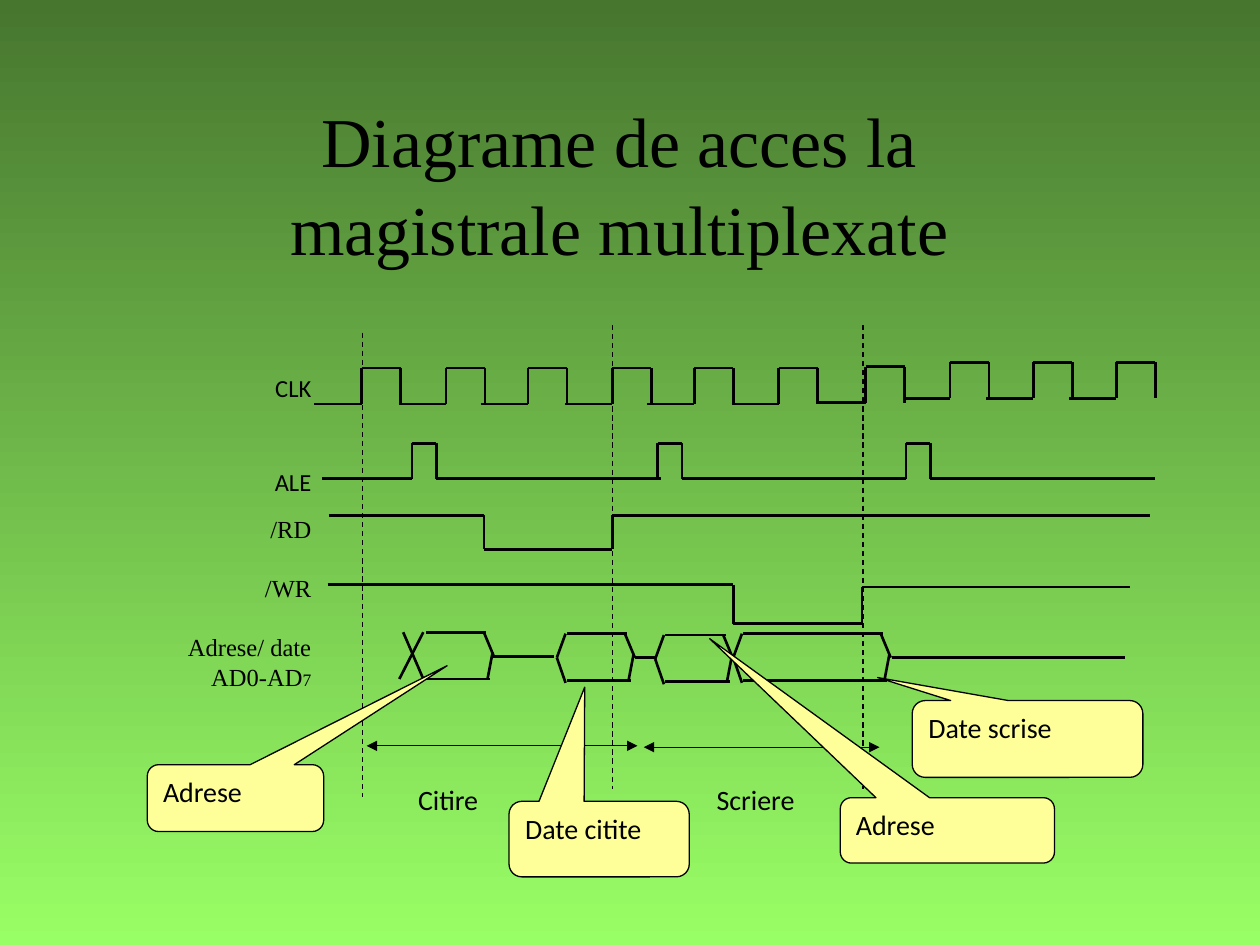
"""Build a slide with the timing diagram of a multiplexed bus."""
from dataclasses import dataclass

import lxml.etree
import pptx
import pptx.dml.color
import pptx.enum.dml
import pptx.enum.shapes
import pptx.enum.text
import pptx.oxml.ns
import pptx.util

Pt = pptx.util.Pt
Align = pptx.enum.text.PP_ALIGN
qn = pptx.oxml.ns.qn
COLOURS = {"ink": "000000", "callout": "FFFF99", "top": "47762F", "bottom": "99FF66"}
SERIF, SANS = "Times New Roman", "Calibri"


@dataclass(frozen=True)
class Box:
    left: float
    top: float
    width: float
    height: float


@dataclass(frozen=True)
class Label:
    runs: tuple[tuple[str, float], ...]
    font: str
    space_after: float = 0


@dataclass(frozen=True)
class Callout:
    text: str
    box: Box
    tip: tuple[float, float]


@dataclass(frozen=True)
class ClockGroup:
    rises: tuple[float, ...]
    high: float


@dataclass(frozen=True)
class BusCell:
    left: float
    middle: float
    width: float = 44.6
    crossed: bool = False


CLOCK_GROUPS = (
    ClockGroup((206.6, 254.9, 301.7, 349.9, 396.7, 445), 210.2),
    ClockGroup((494.6,), 209.5),
    ClockGroup((542.9, 590.4, 637.9), 207.1),
)
ALE_RISES = (235.4, 375.8, 517.7)
READ_WAVE = ((187.9, 294.5), (276.5, 294.5), (276.5, 313.9), (349.9, 313.9),
             (349.9, 294.5), (657.4, 294.5))
WRITE_WAVE = ((187.2, 334.1), (419, 334.1), (419, 356.4), (492.5, 356.4),
              (492.5, 335.5), (645.8, 335.5))
BUS_CELLS = (
    BusCell(237.6, 375, crossed=True),
    BusCell(318.2, 375.8),
    BusCell(374.4, 376.6),
    BusCell(419, 375.8, 90),
)
BUS_IDLES = ((280.8, 316.8, 375.1), (362.9, 374.4, 375.8), (509.8, 643, 375.8))
CYCLE_LIMITS = ((207.1, 190.1), (349.9, 185.8), (493.2, 185.8))
CYCLE_SPANS = ((209.5, 364.3, 426.2), (367.9, 502.6, 427))
SIGNAL_LABELS = (
    Label((("CLK", 14),), SANS, 37),
    Label((("ALE", 14),), SANS, 10),
    Label((("/RD", 14),), SERIF, 17),
    Label((("/WR", 14),), SERIF, 17),
    Label((("Adrese/ date AD0-AD", 14), ("7", 10)), SERIF),
)
CALLOUTS = (
    Callout("Date scrise", Box(521.3, 400.3, 131.8, 43.9), (-0.65, -0.8)),
    Callout("Date citite", Box(290.9, 457.9, 103, 43.2), (-0.08, -2.01)),
    Callout("Adrese", Box(480.2, 455.8, 122.4, 37.4), (-1.11, -2.93)),
    Callout("Adrese", Box(84.2, 437, 100.8, 38.2), (1.2, -1.98)),
)


def colour(name: str) -> pptx.dml.color.RGBColor:
    """Return a named colour."""
    return pptx.dml.color.RGBColor.from_string(COLOURS[name])


def draw_line(slide, start, end, weight: float = 1.5):
    """Draw a straight line between two points."""
    connector = slide.shapes.add_connector(
        pptx.enum.shapes.MSO_CONNECTOR.STRAIGHT, *map(Pt, (*start, *end)))
    connector.line.color.rgb = colour("ink")
    connector.line.width = Pt(weight)
    lxml.etree.SubElement(connector._element.spPr, qn("a:effectLst"))
    return connector


def draw_wave(slide, points) -> None:
    """Draw a line through successive points."""
    for start, end in zip(points, points[1:]):
        draw_line(slide, start, end)


def draw_clock_pulse(slide, rise: float, high: float) -> None:
    """Draw one clock pulse with the low level before it."""
    low = high + 20.6
    draw_wave(slide, ((rise - 26.9, low), (rise, low), (rise, high),
                      (rise + 22.3, high), (rise + 22.3, low)))


def draw_ale_pulse(slide, rise: float) -> None:
    """Draw one ALE pulse with the low level after it."""
    high, low, fall = 253.4, 273.6, rise + 14
    draw_wave(slide, ((rise, low), (rise, high), (fall, high),
                      (fall, low), (rise + 142.2, low)))


def draw_bus_cell(slide, cell: BusCell) -> None:
    """Draw one period of valid data on the bus."""
    left, middle, right = cell.left, cell.middle, cell.left + cell.width
    high, low = middle - 13.7, middle + 13
    if cell.crossed:
        draw_line(slide, (left - 7.2, high), (left + 4.3, low))
        draw_line(slide, (left + 4.3, high), (left - 9.4, low))
    else:
        draw_wave(slide, ((left + 5, high), (left, middle), (left + 5, low + 1.4)))
    draw_line(slide, (left + 5.8, high), (right - 4.3, high))
    draw_line(slide, (left + 5.8, low), (right - 2.1, low))
    draw_line(slide, (right - 5.7, high), (right, middle))
    draw_line(slide, (right - 3.6, low), (right - 0.7, middle - 2.2))


def draw_span(slide, left: float, right: float, height: float) -> None:
    """Draw a line with an arrowhead at both ends."""
    line = draw_line(slide, (left, height), (right, height), 0.75)
    outline = line.line._get_or_add_ln()
    for end in ("a:headEnd", "a:tailEnd"):
        lxml.etree.SubElement(outline, qn(end), type="triangle")


def write_label(paragraph, label: Label, alignment) -> None:
    """Write a label into a paragraph, run by run."""
    paragraph.alignment = alignment
    paragraph.space_after = Pt(label.space_after)
    for text, size in label.runs:
        run = paragraph.add_run()
        run.text = text
        run.font.name = label.font
        run.font.size = Pt(size)
        run.font.color.rgb = colour("ink")


def add_text(slide, box: Box, labels, alignment=Align.LEFT):
    """Add a text box with one paragraph per label and return its frame."""
    shape = slide.shapes.add_textbox(*map(Pt, (box.left, box.top, box.width, box.height)))
    frame = shape.text_frame
    frame.word_wrap = True
    for index, label in enumerate(labels):
        paragraph = frame.add_paragraph() if index else frame.paragraphs[0]
        write_label(paragraph, label, alignment)
    return frame


def add_callout(slide, callout: Callout) -> None:
    """Add a rounded callout pointing at the bus."""
    box = callout.box
    shape = slide.shapes.add_shape(
        pptx.enum.shapes.MSO_SHAPE.ROUNDED_RECTANGULAR_CALLOUT,
        *map(Pt, (box.left, box.top, box.width, box.height)))
    shape.shadow.inherit = False
    for index, value in enumerate((*callout.tip, 0.17)):
        shape.adjustments[index] = value
    shape.fill.solid()
    shape.fill.fore_color.rgb = colour("callout")
    shape.line.color.rgb = colour("ink")
    shape.line.width = Pt(0.75)
    shape.text_frame.word_wrap = True
    shape.text_frame.vertical_anchor = pptx.enum.text.MSO_ANCHOR.TOP
    write_label(shape.text_frame.paragraphs[0],
                Label(((callout.text, 16),), SANS, 10), Align.LEFT)


def main() -> None:
    """Build and save the presentation."""
    presentation = pptx.Presentation()
    presentation.slide_width, presentation.slide_height = Pt(720), Pt(540)
    slide = presentation.slides.add_slide(presentation.slide_layouts[6])
    background = slide.background.fill
    background.gradient()
    background.gradient_angle = 270
    for stop, name in zip(background.gradient_stops, ("top", "bottom")):
        stop.color.rgb = colour(name)

    title = Label((("Diagrame de acces la magistrale multiplexate", 40),), SERIF)
    frame = add_text(slide, Box(95.8, 48.2, 516.2, 90), (title,), Align.CENTER)
    frame.margin_top = Pt(5)
    frame.paragraphs[0].line_spacing = 1.05

    for group in CLOCK_GROUPS:
        for rise in group.rises:
            draw_clock_pulse(slide, rise, group.high)
    draw_line(slide, (184.3, 273.6), (ALE_RISES[0], 273.6))
    for rise in ALE_RISES:
        draw_ale_pulse(slide, rise)
    for x, top in CYCLE_LIMITS:
        limit = draw_line(slide, (x, top), (x, top + 265.3), 0.75)
        limit.line.dash_style = pptx.enum.dml.MSO_LINE.DASH
    add_text(slide, Box(66.2, 209.5, 118.8, 294.5), SIGNAL_LABELS, Align.RIGHT)
    for wave in (READ_WAVE, WRITE_WAVE):
        draw_wave(slide, wave)
    for cell in BUS_CELLS:
        draw_bus_cell(slide, cell)
    for left, right, height in BUS_IDLES:
        draw_line(slide, (left, height), (right, height))
    for span in CYCLE_SPANS:
        draw_span(slide, *span)

    cycles = Label((("Citire\tScriere", 16),), SANS, 10)
    frame = add_text(slide, Box(231.8, 443.5, 265, 39.6), (cycles,))
    properties = frame.paragraphs[0]._p.get_or_add_pPr()
    stops = lxml.etree.SubElement(properties, qn("a:tabLst"))
    lxml.etree.SubElement(stops, qn("a:tab"), pos=str(Pt(170.6)), algn="l")
    for callout in CALLOUTS:
        add_callout(slide, callout)
    presentation.save("out.pptx")


if __name__ == "__main__":
    main()
